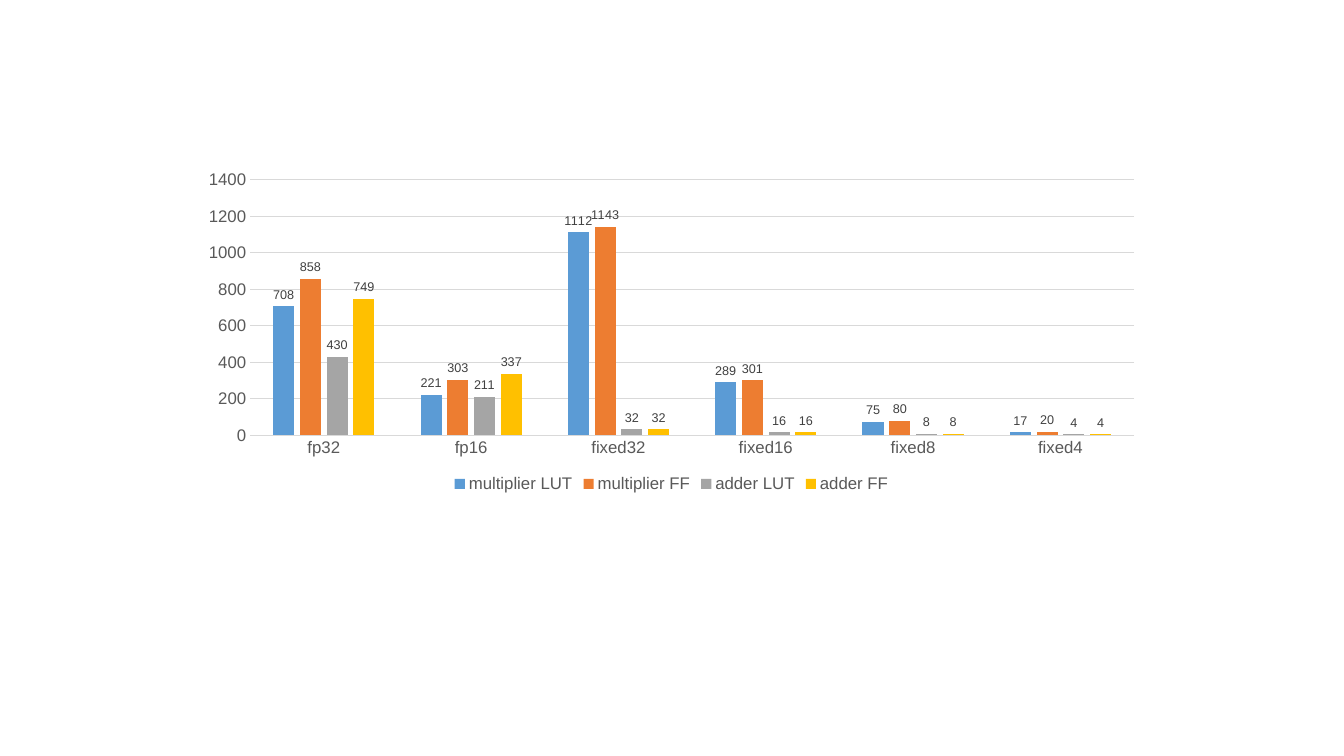
from dataclasses import dataclass
from typing import Any

from pptx import Presentation
from pptx.chart.data import CategoryChartData
from pptx.dml.color import RGBColor
from pptx.enum.chart import (XL_CHART_TYPE, XL_LABEL_POSITION,
                             XL_LEGEND_POSITION, XL_TICK_MARK)
from pptx.util import Inches, Pt

CLUSTERED = XL_CHART_TYPE.COLUMN_CLUSTERED
OUTSIDE_END = XL_LABEL_POSITION.OUTSIDE_END
BOTTOM = XL_LEGEND_POSITION.BOTTOM
NO_TICK = XL_TICK_MARK.NONE

FONT = "Arial"
TEXT_GREY, LABEL_GREY, LINE_GREY = "595959", "404040", "D9D9D9"


@dataclass(frozen=True)
class ResourceSeries:
    name: str
    color: str
    values: tuple[int, ...]


NUMBER_FORMATS = ("fp32", "fp16", "fixed32", "fixed16", "fixed8", "fixed4")
RESOURCES = (
    ResourceSeries("multiplier LUT", "5B9BD5", (708, 221, 1112, 289, 75, 17)),
    ResourceSeries("multiplier FF", "ED7D31", (858, 303, 1143, 301, 80, 20)),
    ResourceSeries("adder LUT", "A5A5A5", (430, 211, 32, 16, 8, 4)),
    ResourceSeries("adder FF", "FFC000", (749, 337, 32, 16, 8, 4)),
)


def rgb(color: str) -> RGBColor:
    return RGBColor.from_string(color)


def set_values(target: Any, values: dict[str, Any]) -> None:
    for name, value in values.items():
        setattr(target, name, value)


def style_font(font: Any, size: int, color: str) -> None:
    set_values(font, {"name": FONT, "size": Pt(size), "bold": False})
    font.color.rgb = rgb(color)


def style_line(line: Any) -> None:
    line.width = Pt(0.75)
    line.color.rgb = rgb(LINE_GREY)


def style_axis(axis: Any, values: dict[str, Any]) -> None:
    set_values(axis, {"major_tick_mark": NO_TICK, "minor_tick_mark": NO_TICK,
                      **values})
    style_font(axis.tick_labels.font, 12, TEXT_GREY)


def style_series(series: Any, color: str) -> None:
    series.invert_if_negative = False
    series.format.fill.solid()
    series.format.fill.fore_color.rgb = rgb(color)
    labels = series.data_labels
    set_values(labels, {"show_value": True, "position": OUTSIDE_END})
    style_font(labels.font, 9, LABEL_GREY)


def add_resource_chart(slide: Any) -> None:
    # Data
    data = CategoryChartData()
    data.categories = NUMBER_FORMATS
    for resource in RESOURCES:
        data.add_series(resource.name, resource.values)
    chart = slide.shapes.add_chart(
        CLUSTERED, Inches(1.88), Inches(1.63), Inches(9.56), Inches(3.3), data
    ).chart
    set_values(chart, {"has_title": False, "has_legend": True})
    style_font(chart.font, 10, TEXT_GREY)

    # Columns
    plot = chart.plots[0]
    set_values(plot, {"gap_width": 219, "overlap": -27,
                      "vary_by_categories": False})
    for series, resource in zip(plot.series, RESOURCES):
        style_series(series, resource.color)

    # Axes
    style_axis(chart.category_axis, {"has_major_gridlines": False})
    style_line(chart.category_axis.format.line)
    style_axis(chart.value_axis, {"has_major_gridlines": True,
                                  "minimum_scale": 0, "maximum_scale": 1400,
                                  "major_unit": 200})
    chart.value_axis.format.line.fill.background()
    style_line(chart.value_axis.major_gridlines.format.line)

    # Legend
    set_values(chart.legend, {"position": BOTTOM, "include_in_layout": False})
    style_font(chart.legend.font, 12, TEXT_GREY)


presentation = Presentation()
set_values(presentation, {"slide_width": Inches(13.33),
                          "slide_height": Inches(7.5)})
add_resource_chart(presentation.slides.add_slide(presentation.slide_layouts[6]))
presentation.save("out.pptx")
